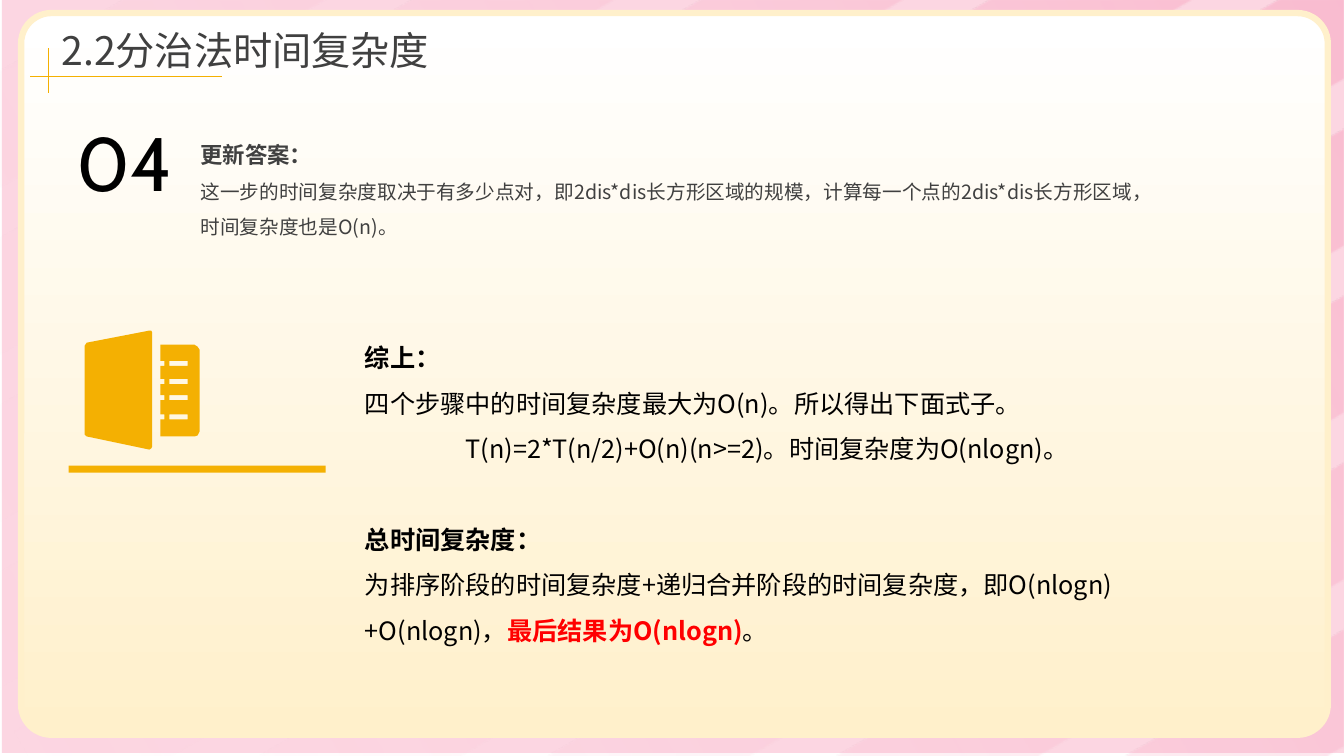
import math
from dataclasses import dataclass
from typing import Optional

from lxml import etree
from pptx import Presentation
from pptx import util as u
from pptx.dml.color import RGBColor
from pptx.enum import shapes, text
from pptx.oxml import ns

GOLD = RGBColor(0xF4, 0xB0, 0x02)
CREAM = RGBColor(0xFF, 0xF0, 0xCB)
WHITE = RGBColor(0xFF, 0xFF, 0xFF)
PINK = RGBColor(0xFC, 0xD6, 0xE2)
DEEP_PINK = RGBColor(0xF6, 0x83, 0xA9)
GREY = RGBColor(0x40, 0x40, 0x40)
BLACK = RGBColor(0, 0, 0)
RED = RGBColor(0xFF, 0, 0)
CJK = "Noto Sans CJK SC"
WIDTH, HEIGHT = 13.33, 7.5

Point = tuple[float, float]
Box = tuple[float, float, float, float]


@dataclass
class Span:
    words: str
    size: float
    color: RGBColor = BLACK
    bold: bool = False
    font: str = CJK


@dataclass
class Para:
    spans: list[Span]
    spacing: float = 1.5
    indent: float = 0
    before: float = 0


@dataclass
class TextBlock:
    box: Box
    paras: list[Para]
    inset: Box = (0, 0, 0, 0)
    anchor: text.MSO_ANCHOR = text.MSO_ANCHOR.TOP
    grow: bool = False


def add_text(slide, block: TextBlock) -> None:
    frame = slide.shapes.add_textbox(*map(u.Inches, block.box)).text_frame
    frame.word_wrap = True
    frame.vertical_anchor = block.anchor
    frame.auto_size = (text.MSO_AUTO_SIZE.SHAPE_TO_FIT_TEXT if block.grow
                       else text.MSO_AUTO_SIZE.NONE)
    (frame.margin_left, frame.margin_top,
     frame.margin_right, frame.margin_bottom) = map(u.Inches, block.inset)
    for i, para in enumerate(block.paras):
        paragraph = frame.paragraphs[0] if i == 0 else frame.add_paragraph()
        paragraph.line_spacing = para.spacing
        if para.before:
            paragraph.space_before = u.Pt(para.before)
        if para.indent:
            paragraph._p.get_or_add_pPr().set("indent", str(u.Inches(para.indent)))
        for span in para.spans:
            run = paragraph.add_run()
            run.text = span.words
            font = run.font
            font.size, font.bold, font.name = u.Pt(span.size), span.bold, span.font
            font.color.rgb = span.color
            east_asian = etree.SubElement(run._r.get_or_add_rPr(), ns.qn("a:ea"))
            east_asian.set("typeface", span.font)


def paint(shape, color: Optional[RGBColor] = None) -> None:
    shape.shadow.inherit = False
    shape.line.fill.background()
    if color is not None:
        shape.fill.solid()
        shape.fill.fore_color.rgb = color


def paint_gradient(shape, colors: list[RGBColor], angle: float,
                   opacities: Optional[list[int]] = None) -> None:
    shape.fill.gradient()
    shape.fill.gradient_angle = angle
    for i, stop in enumerate(shape.fill.gradient_stops):
        stop.color.rgb = colors[i]
        stop.position = (0, 0.99)[i]
        if opacities:
            rgb = stop._gs.find(ns.qn("a:srgbClr"))
            etree.SubElement(rgb, ns.qn("a:alpha")).set("val", str(opacities[i] * 1000))


def add_block(slide, box: Box, kind=shapes.MSO_SHAPE.RECTANGLE,
              color: Optional[RGBColor] = None):
    shape = slide.shapes.add_shape(kind, *map(u.Inches, box))
    paint(shape, color)
    return shape


def add_outline(slide, contours: list[list[Point]]):
    builder = None
    for contour in contours:
        first, *rest = [(u.Inches(x), u.Inches(y)) for x, y in contour]
        if builder is None:
            builder = slide.shapes.build_freeform(*first)
        else:
            builder.move_to(*first)
        builder.add_line_segments(rest, close=True)
    return builder.convert_to_shape()


def add_rule(slide, start: Point, end: Point) -> None:
    rule = slide.shapes.add_connector(
        shapes.MSO_CONNECTOR.STRAIGHT, *map(u.Inches, start + end))
    rule.line.color.rgb = GOLD
    rule.line.width = u.Pt(1)
    etree.SubElement(rule._element.spPr, ns.qn("a:effectLst"))


def stripe(low: float, high: float) -> list[Point]:
    """Band between two 30-degree diagonals, cut at the slide edges."""
    slope = math.tan(math.radians(30))
    corner = WIDTH * slope

    def right_end(c: float) -> Point:
        return (c / slope, 0) if c <= corner else (WIDTH, c - corner)

    def left_end(c: float) -> Point:
        return (0, c) if c <= HEIGHT else ((c - HEIGHT) / slope, HEIGHT)

    top_right = [(WIDTH, 0)] if low < corner < high else []
    bottom_left = [(0, HEIGHT)] if low < HEIGHT < high else []
    return [right_end(low), *top_right, right_end(high),
            left_end(high), *bottom_left, left_end(low)]


def notebook() -> list[list[Point]]:
    rows = [3.58, 3.76, 3.92, 4.11]
    dash = 0.05
    holes = [[(1.68, y), (1.68, y + dash), (1.86, y + dash), (1.86, y)] for y in rows]
    page = [(1.59, 3.42), (1.93, 3.42), (1.96, 3.44), (1.98, 3.47),
            (1.98, 4.28), (1.96, 4.32), (1.93, 4.33), (1.59, 4.33)]
    for y in reversed(rows):
        page += [(1.59, y + dash), (1.63, y + dash), (1.63, y), (1.59, y)]
    cover = [(1.48, 3.28), (1.5, 3.28), (1.51, 3.3), (1.51, 4.43), (1.5, 4.45),
             (1.48, 4.46), (0.86, 4.33), (0.84, 4.31), (0.84, 3.43), (0.86, 3.4)]
    return [*holes, page, cover]


TITLE = TextBlock(
    (0.61, 0.21, 12.26, 0.47),
    [Para([Span("2.2分治法时间复杂度", 28, GREY)], spacing=1.2)],
    anchor=text.MSO_ANCHOR.MIDDLE)
STEP_NUMBER = TextBlock(
    (0.76, 1.15, 1.53, 0.91),
    [Para([Span("04", 54, font="Cabin")], spacing=1.0)], grow=True)
STEP = TextBlock((1.95, 1.23, 9.44, 1.78), [
    Para([Span("更新答案：", 16, GREY, True)]),
    Para([Span("这一步的时间复杂度取决于有多少点对，即2dis*dis长方形区域的规模，"
               "计算每一个点的2dis*dis长方形区域，时间复杂度也是O(n)。", 14, GREY)]),
], inset=(0.04, 0.04, 0.04, 0.04))
SUMMARY = TextBlock((3.52, 3.2, 8.62, 3.28), [
    Para([Span("综上：", 18, bold=True)]),
    Para([Span("四个步骤中的时间复杂度最大为O(n)。所以得出下面式子。", 18)]),
    Para([Span("T(n)=2*T(n/2)+O(n)(n>=2)。时间复杂度为O(nlogn)。", 18)], indent=1),
    Para([Span("总时间复杂度：", 18, bold=True)], before=32.5),
    Para([Span("为排序阶段的时间复杂度+递归合并阶段的时间复杂度，即O(nlogn)+O(nlogn)，", 18),
          Span("最后结果为O(nlogn)", 18, RED, True),
          Span("。", 18)]),
], inset=(0.1, 0.05, 0.1, 0.05), grow=True)


def main() -> None:
    deck = Presentation()
    deck.slide_width, deck.slide_height = u.Inches(WIDTH), u.Inches(HEIGHT)
    slide = deck.slides.add_slide(deck.slide_layouts[6])

    # Pink striped backdrop
    add_block(slide, (0.02, -0.03, WIDTH, HEIGHT), color=PINK)
    lows = [0.72 + 1.6525 * i for i in range(9)]
    stripes = add_outline(slide, [stripe(low, low + 1.155) for low in lows])
    paint(stripes)
    paint_gradient(stripes, [DEEP_PINK, PINK], 210, [31, 0])

    # Cream panel
    panel = add_block(slide, (0.21, 0.13, 12.96, 7.16),
                      shapes.MSO_SHAPE.ROUNDED_RECTANGLE)
    panel.adjustments[0] = 0.042
    paint_gradient(panel, [CREAM, WHITE], 90)
    panel.line.color.rgb = CREAM
    panel.line.width = u.Pt(4.5)

    # Title with crossed rules, then the texts
    add_rule(slide, (0.3, 0.76), (2.2, 0.76))
    add_rule(slide, (0.48, 0.92), (0.48, 0.48))
    for block in (TITLE, STEP_NUMBER, STEP, SUMMARY):
        add_text(slide, block)

    # Notebook icon on its bar
    paint(add_outline(slide, notebook()), GOLD)
    add_block(slide, (0.68, 4.62, 2.55, 0.07), color=GOLD)

    deck.save("out.pptx")


if __name__ == "__main__":
    main()
